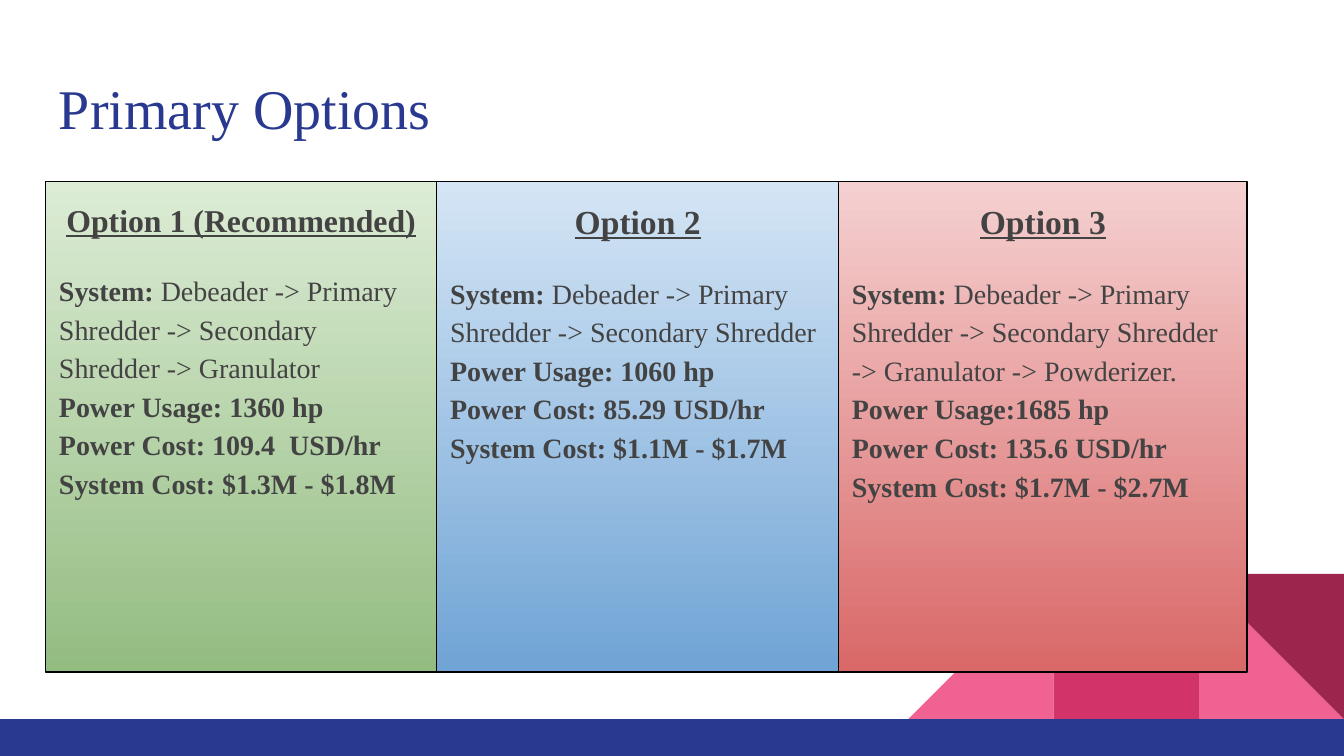
from dataclasses import dataclass

from pptx import Presentation
from pptx.dml.color import RGBColor
from pptx.enum.shapes import MSO_SHAPE
from pptx.enum.text import MSO_ANCHOR, PP_ALIGN
from pptx.util import Inches, Pt

FONT = "Times New Roman"
NAVY, PINK, ROSE, WINE = "2A3990", "F06292", "D23369", "9C254D"
GRAY, BLACK = "434343", "000000"
TILE = 1.08
TILE_TOP = 4.27
PANEL_TOP, PANEL_HEIGHT = 1.35, 3.65


@dataclass
class Decoration:
    kind: MSO_SHAPE
    left: float
    top: float
    width: float
    height: float
    color: str
    rotation: int = 0
    flipped: bool = False


@dataclass
class Option:
    heading: str
    heading_size: int
    width: float
    gradient: tuple[str, str]
    system: str
    facts: tuple[str, str, str]


DECORATIONS = [
    Decoration(MSO_SHAPE.RIGHT_TRIANGLE, 8.92, TILE_TOP, TILE, TILE, PINK),
    Decoration(MSO_SHAPE.RIGHT_TRIANGLE, 6.76, TILE_TOP, TILE, TILE, PINK, flipped=True),
    Decoration(MSO_SHAPE.RECTANGLE, 7.84, TILE_TOP, TILE, TILE, ROSE),
    Decoration(MSO_SHAPE.RIGHT_TRIANGLE, 8.92, TILE_TOP, TILE, TILE, WINE, rotation=180),
    Decoration(MSO_SHAPE.RECTANGLE, 0, 5.35, 10, 0.28, NAVY),
]

OPTIONS = [
    Option("Option 1 (Recommended)", 17, 2.91, ("DCECD5", "93BC81"),
           "Debeader -> Primary Shredder -> Secondary Shredder -> Granulator",
           ("Power Usage: 1360 hp", "Power Cost: 109.4  USD/hr",
            "System Cost: $1.3M - $1.8M")),
    Option("Option 2", 18, 2.99, ("D4E5F5", "70A4D5"),
           "Debeader -> Primary Shredder -> Secondary Shredder",
           ("Power Usage: 1060 hp", "Power Cost: 85.29 USD/hr",
            "System Cost: $1.1M - $1.7M")),
    Option("Option 3", 18, 3.04, ("F5D0D0", "D96868"),
           "Debeader -> Primary Shredder -> Secondary Shredder -> Granulator -> Powderizer.",
           ("Power Usage:1685 hp", "Power Cost: 135.6 USD/hr",
            "System Cost: $1.7M - $2.7M")),
]


def rgb(color: str) -> RGBColor:
    return RGBColor.from_string(color)


def style(r, size: float, color: str, bold: bool = False, underline: bool = False) -> None:
    r.font.name = FONT
    r.font.size = Pt(size)
    r.font.color.rgb = rgb(color)
    r.font.bold = bold
    r.font.underline = underline


def set_frame(tf) -> None:
    tf.word_wrap = True
    tf.vertical_anchor = MSO_ANCHOR.TOP
    tf.margin_left = tf.margin_right = Inches(0.1)
    tf.margin_top = tf.margin_bottom = Inches(0.1)


def add_decoration(s, item: Decoration) -> None:
    sp = s.shapes.add_shape(item.kind, Inches(item.left), Inches(item.top),
                            Inches(item.width), Inches(item.height))
    sp.shadow.inherit = False
    sp.fill.solid()
    sp.fill.fore_color.rgb = rgb(item.color)
    sp.line.fill.background()
    sp.rotation = item.rotation
    if item.flipped:
        sp._element.spPr.xfrm.set("flipH", "1")


def add_title(s, text: str) -> None:
    sp = s.shapes.add_textbox(Inches(0.34), Inches(0.45), Inches(9.32), Inches(0.66))
    tf = sp.text_frame
    set_frame(tf)
    tf.text = text
    style(tf.paragraphs[0].runs[0], 30, NAVY)


def add_option(s, option: Option, left: float) -> None:
    sp = s.shapes.add_shape(MSO_SHAPE.RECTANGLE, Inches(left), Inches(PANEL_TOP),
                            Inches(option.width), Inches(PANEL_HEIGHT))
    sp.shadow.inherit = False
    sp.fill.gradient()
    sp.fill.gradient_angle = 270
    for position, (stop, color) in enumerate(zip(sp.fill.gradient_stops, option.gradient)):
        stop.position = position
        stop.color.rgb = rgb(color)
    sp.line.color.rgb = rgb(BLACK)
    sp.line.width = Pt(0.75)

    tf = sp.text_frame
    set_frame(tf)
    tf.text = "\n".join((option.heading, "System:", *option.facts))
    for p in tf.paragraphs:
        p.alignment = PP_ALIGN.LEFT
        p.line_spacing = 1.15
        style(p.runs[0], 15, GRAY, bold=True)
    heading, system = tf.paragraphs[:2]
    heading.alignment = PP_ALIGN.CENTER
    style(heading.runs[0], option.heading_size, GRAY, bold=True, underline=True)
    system.space_before = Pt(16)
    r = system.add_run()
    r.text = f" {option.system}"
    style(r, 15, GRAY)


def main() -> None:
    prs = Presentation()
    prs.slide_width = Inches(10)
    prs.slide_height = prs.slide_width * 9 // 16
    s = prs.slides.add_slide(prs.slide_layouts[6])
    for item in DECORATIONS:
        add_decoration(s, item)
    add_title(s, "Primary Options")
    left = 0.34
    for option in OPTIONS:
        add_option(s, option, left)
        left += option.width
    prs.save("out.pptx")


if __name__ == "__main__":
    main()
